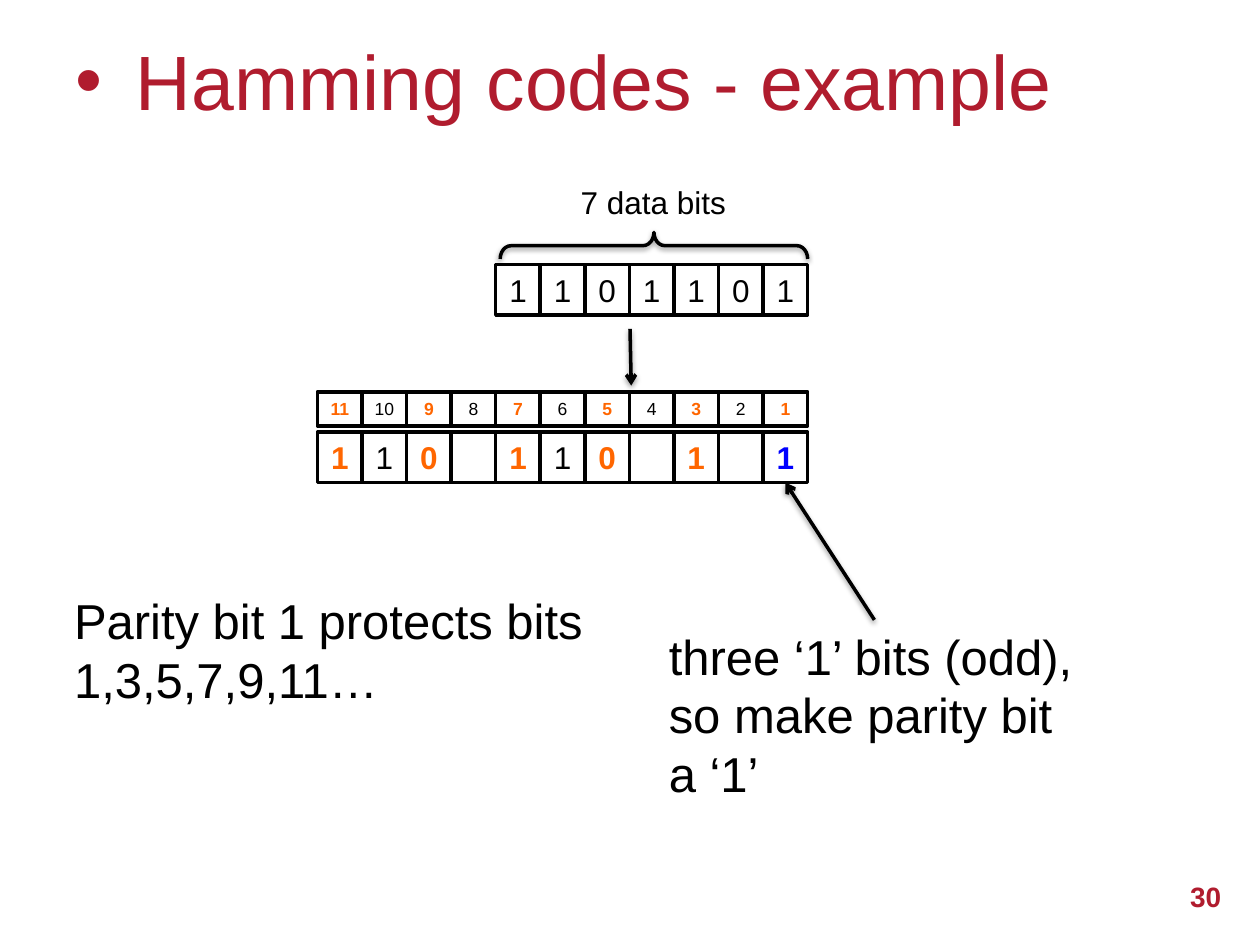
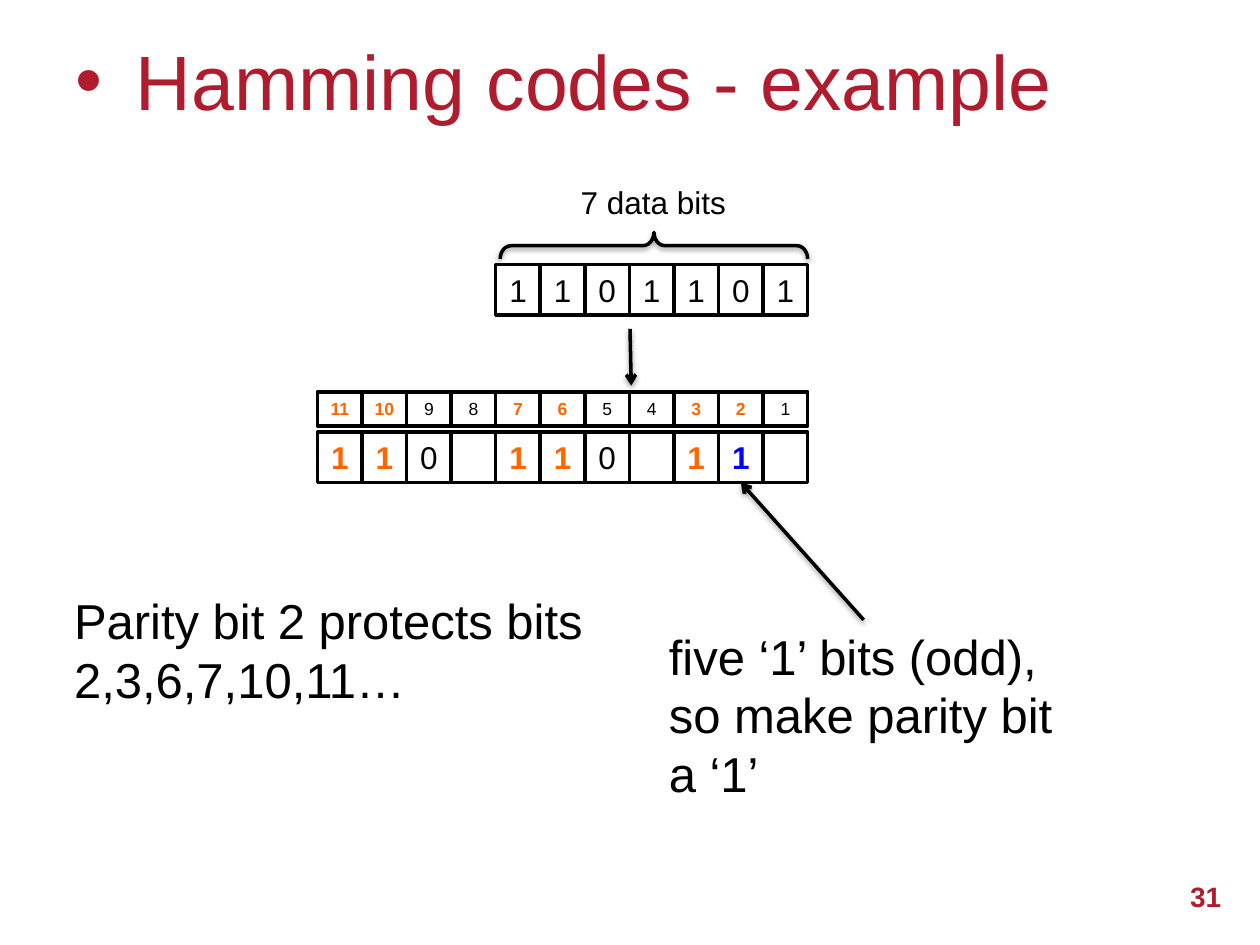
from dataclasses import dataclass
from lxml.etree import SubElement
from pptx import Presentation
from pptx.dml.color import RGBColor as RGB
from pptx.enum.shapes import MSO_CONNECTOR as LINK, MSO_SHAPE as SHAPE
from pptx.enum.text import MSO_ANCHOR as ANCHOR, MSO_AUTO_SIZE as AUTO, PP_ALIGN as ALIGN
from pptx.oxml.ns import qn
from pptx.util import Inches, Pt


@dataclass(frozen=True)
class Theme:
    font: str = "Arial"
    red: RGB = RGB(0xB0, 0x1C, 0x2E)
    ink: RGB = RGB(0, 0, 0)
    paper: RGB = RGB(255, 255, 255)
    cover: RGB = RGB(0xFF, 0x66, 0)
    parity: RGB = RGB(0, 0, 255)
    title: int = 44
    note: int = 28
    bit: int = 18
    page: int = 16
    index: int = 10
    line: int = 2


T = Theme()
DATA = "1101101"
COUNT = 11


# Text and line helpers
def write(shape, text, size, color=T.ink, bold=False, align=ALIGN.LEFT):
    para = shape.text_frame.paragraphs[0]
    para.text = text
    para.alignment = align
    font = para.font
    font.name, font.size, font.bold = T.font, Pt(size), bold
    font.color.rgb = color
    return para


def label(slide, box, text, size, color=T.ink, bold=False,
          align=ALIGN.LEFT, anchor=ANCHOR.TOP, wrap=True, grow=True):
    shape = slide.shapes.add_textbox(*map(Inches, box))
    frame = shape.text_frame
    frame.word_wrap = wrap
    frame.vertical_anchor = anchor
    frame.auto_size = AUTO.SHAPE_TO_FIT_TEXT if grow else AUTO.NONE
    return write(shape, text, size, color, bold, align)


def outline(shape):
    shape.line.color.rgb = T.ink
    shape.line.width = Pt(T.line)


def shade(shape):
    effects = SubElement(shape._element.spPr, qn("a:effectLst"))
    drop = SubElement(effects, qn("a:outerShdw"), blurRad=str(Pt(3.1)),
                      dist=str(Pt(1.6)), dir="5400000", rotWithShape="0")
    black = SubElement(drop, qn("a:srgbClr"), val=str(T.ink))
    SubElement(black, qn("a:alpha"), val="38000")


def arrow(slide, start, end):
    link = slide.shapes.add_connector(LINK.STRAIGHT, *map(Inches, start + end))
    outline(link)
    SubElement(link.line._get_or_add_ln(), qn("a:tailEnd"), type="arrow")
    shade(link)


# One row of equal cells; each item is (text, color, bold)
def cells(shapes, box, items, size):
    left, top, width, height = box
    step = width / len(items)
    for i, (text, color, bold) in enumerate(items):
        cell = shapes.add_shape(SHAPE.RECTANGLE, Inches(left + i * step),
                                Inches(top), Inches(step), Inches(height))
        cell.shadow.inherit = False
        cell.fill.solid()
        cell.fill.fore_color.rgb = T.paper
        outline(cell)
        if text:
            frame = cell.text_frame
            frame.margin_left = frame.margin_right = 0
            frame.margin_top = frame.margin_bottom = 0
            frame.vertical_anchor = ANCHOR.MIDDLE
            write(cell, text, size, color, bold, ALIGN.CENTER)


# Title with bullet, and page number
def head(slide, box, text):
    para = label(slide, box, text, T.title, T.red, anchor=ANCHOR.MIDDLE, grow=False)
    props = para._p.get_or_add_pPr()
    props.set("marL", str(Inches(0.48)))
    props.set("indent", str(-Inches(0.48)))
    SubElement(props, qn("a:buFont"), typeface=T.font)
    SubElement(props, qn("a:buChar"), char="•")


def foot(slide, box, page):
    label(slide, box, str(page), T.page, T.red, True, ALIGN.RIGHT,
          ANCHOR.MIDDLE, grow=False)


# Data bits under their label and brace
def source(slide, box):
    left, top, width, height = box
    cells(slide.shapes, box, [(bit, T.ink, False) for bit in DATA], T.bit)
    span, depth = 2.44, 0.21
    mid, level = left + width - span / 2, top - 0.15
    brace = slide.shapes.add_shape(
        SHAPE.LEFT_BRACE, Inches(mid - depth / 2), Inches(level - span / 2),
        Inches(depth), Inches(span))
    brace.rotation = 90
    brace.adjustments[0] = 0.41
    brace.fill.background()
    outline(brace)
    shade(brace)
    label(slide, (mid - 0.68, top - 0.7, 1.36, 0.4), "7 data bits", T.bit, wrap=False)


# Code word: places counted down from the left, with one parity bit filled in
def word(slide, box, parity):
    left, top, width, height = box
    places = range(COUNT, 0, -1)
    feed = iter(DATA)
    bits = {n: next(feed) if n & (n - 1) else "" for n in places}
    bits[parity] = str(sum(int(bits[n]) for n in places if n & parity and bits[n]) % 2)

    def tint(n):
        return (T.cover, True) if n & parity else (T.ink, False)

    group = slide.shapes.add_group_shape()
    cells(group.shapes, (left, top, width, 0.27), [(str(n), *tint(n)) for n in places],
          T.index)
    row = [(bits[n], *((T.parity, True) if n == parity else tint(n))) for n in places]
    cells(slide.shapes, (left, top + 0.32, width, height - 0.32), row, T.bit)
    return left + width * (COUNT - parity + 0.5) / COUNT, top + height


def example(deck, page, parity, places, tally, wide):
    slide = deck.slides.add_slide(deck.slide_layouts[6])
    head(slide, (0.5, 0.01, 9, 1.25), "Hamming codes - example")
    foot(slide, (9.02, 6.85, 0.77, 0.52), page)
    left, width = 2.52, 3.89
    part = width * len(DATA) / COUNT
    source(slide, (left + width - part, 2.1, part, 0.4))
    arrow(slide, (5, 2.61), (5.01, 3.06))
    target = word(slide, (left, 3.11, width, 0.72), parity)
    # Explanation, pointing at the parity bit
    label(slide, (0.49, 4.64, 4.26, 1.04),
          f"Parity bit {parity} protects bits {places}…", T.note)
    label(slide, (5.21, 4.92, wide, 1.51),
          f"{tally} ‘1’ bits (odd), so make parity bit a ‘1’", T.note)
    arrow(slide, (5.21 + wide / 2, 4.92), target)


deck = Presentation()
deck.slide_width, deck.slide_height = Inches(10), Inches(7.5)
example(deck, 30, 1, "1,3,5,7,9,11", "three", 3.46)
example(deck, 31, 2, "2,3,6,7,10,11", "five", 3.29)
deck.save("out.pptx")
